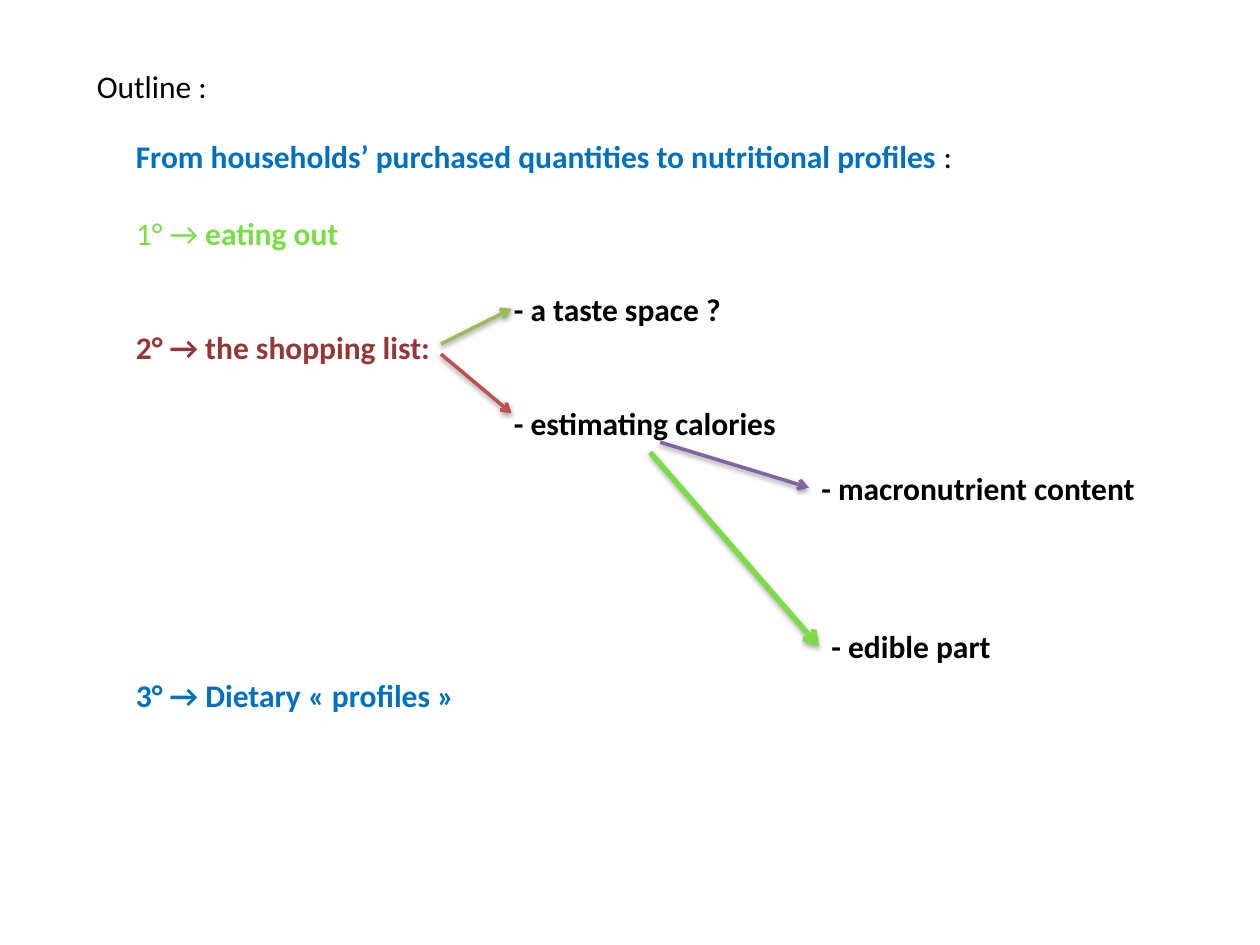
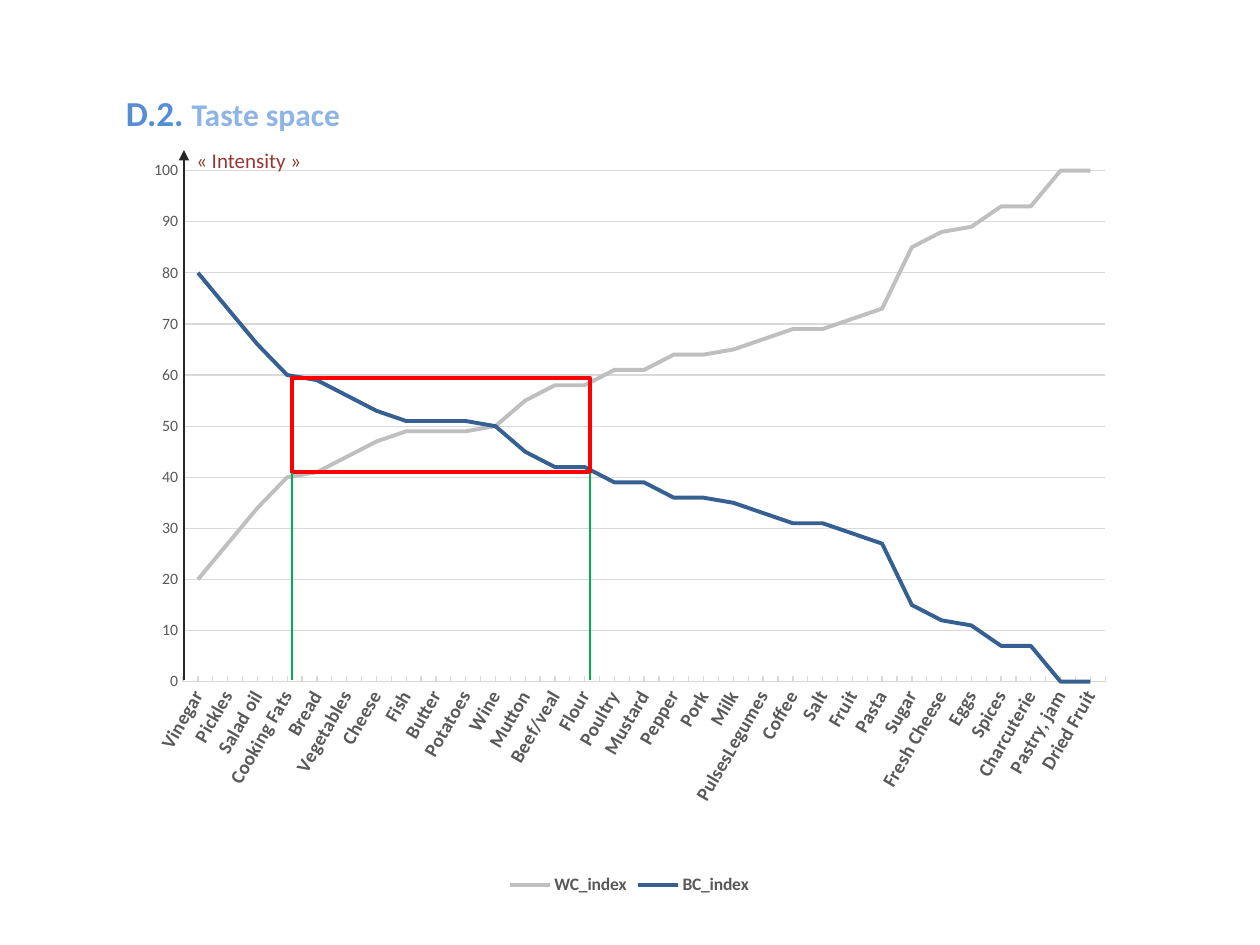
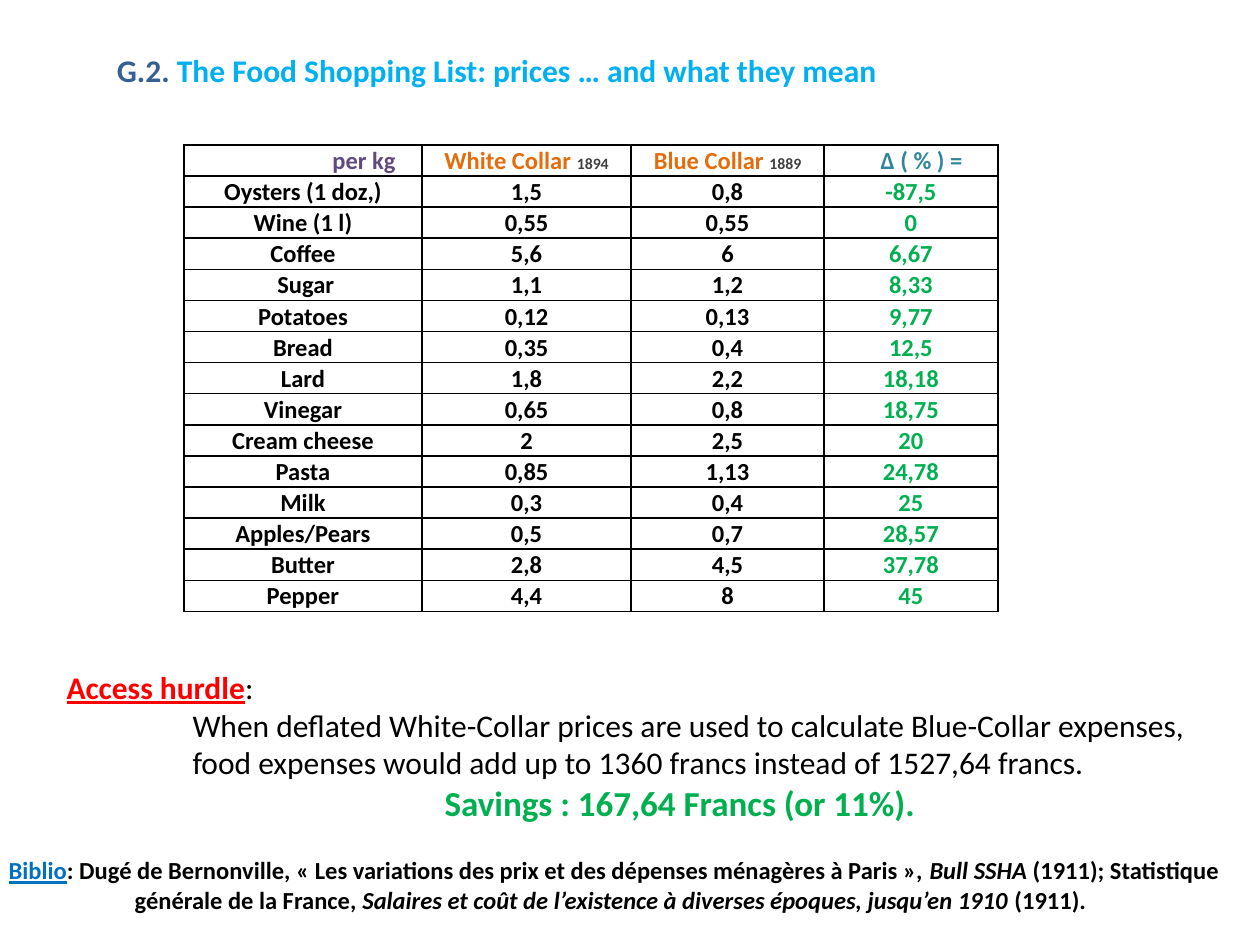
from pptx import Presentation
from pptx.chart.data import CategoryChartData
from pptx.dml.color import RGBColor
from pptx.enum.chart import XL_CHART_TYPE, XL_LEGEND_POSITION, XL_TICK_MARK
from pptx.enum.shapes import MSO_CONNECTOR, MSO_SHAPE
from pptx.enum.text import MSO_ANCHOR, PP_ALIGN
from pptx.oxml import parse_xml
from pptx.oxml.ns import nsdecls, qn
from pptx.util import Inches, Pt

# Shared look
FACE = "Calibri"
BLACK, BLUE, LIME, WINE = "000000", "0070C0", "7ADD43", "953735"
GREEN, RED, GREY, RULE, NAVY = "00B050", "FF0000", "595959", "D9D9D9", "376092"
LINE = 22  # height of one empty 18 pt line, in points
BOLD = {"bold": True}
PLAIN = {}
ITAL = {"bold": True, "italic": True}
LINK = {"bold": True, "underline": True}

# Slide 1: a paragraph is (indent, space before, runs);
# a run is (text, size, colour, format)
OUTLINE = [
    (0.67, 0.48, 1.15, 0.4, [(0, 0, [("Outline :", 18, BLACK, PLAIN)])]),
    (0.98, 1.04, 6.97, 2.83, [
        (0, 0, [("From households’ purchased quantities to nutritional profiles ",
                 18, BLUE, BOLD), (":", 18, BLACK, PLAIN)]),
        (0, LINE, [("1° → ", 18, LIME, PLAIN), ("eating out", 18, LIME, BOLD)]),
        (3, LINE, [("- a taste space ?", 18, BLACK, BOLD)]),
        (0, 0, [("2° → the shopping list:", 18, WINE, BOLD)]),
        (3, LINE, [("- estimating calories", 18, BLACK, BOLD)])]),
    (6.42, 3.67, 2.71, 0.4,
     [(0, 0, [("- macronutrient content", 18, BLACK, BOLD)])]),
    (6.5, 4.93, 1.48, 0.4, [(0, 0, [("- edible part", 18, BLACK, BOLD)])]),
    (0.98, 5.32, 2.89, 0.4,
     [(0, 0, [("3° → Dietary «\u00a0profiles\u00a0»", 18, BLUE, BOLD)])]),
]
ARROWS = [  # start, end, colour, width, shadow strength in percent
    ((3.5, 2.73), (4.06, 2.45), "9BBB59", 2, 38),
    ((3.5, 2.81), (4.06, 3.28), "C0504D", 2, 38),
    ((5.24, 3.51), (6.42, 3.87), "8064A2", 2, 38),
    ((5.16, 3.59), (6.5, 5.13), LIME, 3, 35),
]

# Slide 2
TASTE = [
    (0.9, 0.68, 1.97, 0.44, [(0, 0, [("D.2. ", 20, "558ED5", BOLD),
                                     ("Taste space", 18, "8EB4E3", BOLD)])]),
    (1.46, 1.12, 1.04, 0.3,
     [(0, 0, [("«\u00a0Intensity\u00a0»", 12, WINE, PLAIN)])]),
]
FOODS = [
    "Vinegar", "Pickles", "Salad oil", "Cooking Fats", "Bread", "Vegetables",
    "Cheese", "Fish", "Butter", "Potatoes", "Wine", "Mutton", "Beef/veal",
    "Flour", "Poultry", "Mustard", "Pepper", "Pork", "Milk", "PulsesLegumes",
    "Coffee", "Salt", "Fruit", "Pasta", "Sugar", "Fresh Cheese", "Eggs",
    "Spices", "Charcuterie", "Pastry, jam", "Dried Fruit"]
SERIES = [
    ("WC_index", "BFBFBF", [
        20, 27, 34, 40, 41, 44, 47, 49, 49, 49, 50, 55, 58, 58, 61, 61, 64, 64,
        65, 67, 69, 69, 71, 73, 85, 88, 89, 93, 93, 100, 100]),
    ("BC_index", NAVY, [
        80, 73, 66, 60, 59, 56, 53, 51, 51, 51, 50, 45, 42, 42, 39, 39, 36, 36,
        35, 33, 31, 31, 29, 27, 15, 12, 11, 7, 7, 0, 0]),
]
ZONE = (2.32, 3, 2.36, 0.75)
BASE = 5.4  # height of the zero line of the chart

# Slide 3
PRICES = [
    (0.83, 0.36, 6.37, 0.4, [(0, 0, [
        ("G.2. ", 18, NAVY, BOLD),
        ("The Food Shopping List: prices … and what they mean",
         18, "00B0F0", BOLD)])]),
    (-0.03, 6.74, 9.92, 0.57, [
        (0, 0, [("Biblio", 14, BLUE, LINK),
                (": Dugé de Bernonville, «\u00a0Les variations des prix et des "
                 "dépenses ménagères à Paris\u00a0», ", 14, BLACK, BOLD),
                ("Bull SSHA ", 14, BLACK, ITAL),
                ("(1911); Statistique", 14, BLACK, BOLD)]),
        (1, 0, [("générale de la France, ", 14, BLACK, BOLD),
                ("Salaires et coût de l’existence à diverses époques, "
                 "jusqu’en 1910 ", 14, BLACK, ITAL),
                ("(1911).", 14, BLACK, BOLD)])]),
    (0.43, 5.25, 9.36, 1.35, [
        (0, 0, [("Access hurdle", 18, RED, LINK), (":", 18, BLACK, PLAIN)]),
        (1, 0, [("When deflated White-Collar prices are used to calculate "
                 "Blue-Collar expenses,", 18, BLACK, PLAIN)]),
        (1, 0, [("food expenses would add up to 1360 francs instead of "
                 "1527,64 francs.", 18, BLACK, PLAIN)]),
        (3, 0, [("Savings : 167,64 Francs (or 11%).", 20, GREEN, BOLD)])]),
]
COLS = [1.89, 1.66, 1.53, 1.38]
HEAD = [  # left margin, runs
    (0.98, [("per kg", 14, "604A7B", BOLD)]),
    (0.01, [("White Collar ", 14, "E46C0A", BOLD), ("1894", 9, "404040", BOLD)]),
    (0.01, [("Blue Collar ", 14, "E46C0A", BOLD), ("1889", 9, "404040", BOLD)]),
    (0.18, [("Δ ( % ) =", 14, "31859C", BOLD)]),
]
ROWS = [
    ("Oysters (1 doz,)", "1,5", "0,8", "-87,5"),
    ("Wine (1 l)", "0,55", "0,55", "0"),
    ("Coffee", "5,6", "6", "6,67"),
    (" Sugar", "1,1", "1,2", "8,33"),
    ("Potatoes", "0,12", "0,13", "9,77"),
    ("Bread", "0,35", "0,4", "12,5"),
    ("Lard", "1,8", "2,2", "18,18"),
    ("Vinegar", "0,65", "0,8", "18,75"),
    ("Cream cheese", "2", "2,5", "20"),
    ("Pasta", "0,85", "1,13", "24,78"),
    ("Milk", "0,3", "0,4", "25"),
    ("Apples/Pears", "0,5", "0,7", "28,57"),
    ("Butter", "2,8", "4,5", "37,78"),
    ("Pepper", "4,4", "8", "45"),
]


def rgb(hue):
    return RGBColor.from_string(hue)


def style(font, size, hue, form):
    for key, val in {"name": FACE, "size": Pt(size), **form}.items():
        setattr(font, key, val)
    font.color.rgb = rgb(hue)


def stroke(line, hue, width):
    line.color.rgb = rgb(hue)
    line.width = Pt(width)


def fill_runs(para, runs):
    for text, size, hue, form in runs:
        run = para.add_run()
        run.text = text
        style(run.font, size, hue, form)


def add_texts(slide, boxes):
    for *spot, paras in boxes:
        frame = slide.shapes.add_textbox(*map(Inches, spot)).text_frame
        frame.word_wrap = True
        for num, (dent, gap, runs) in enumerate(paras):
            para = frame.add_paragraph() if num else frame.paragraphs[0]
            para.space_before = Pt(gap)
            if dent:
                para._p.get_or_add_pPr().set("marL", str(Inches(dent)))
            fill_runs(para, runs)


def add_line(slide, start, end, hue, width, tip=None, shade=0):
    line = slide.shapes.add_connector(
        MSO_CONNECTOR.STRAIGHT, *map(Inches, start + end))
    stroke(line.line, hue, width)
    props = line.element.spPr
    if tip:
        props.find(qn("a:ln")).append(
            parse_xml(f'<a:tailEnd {nsdecls("a")} type="{tip}"/>'))
    drop = (f'<a:outerShdw blurRad="40000" dist="20000" dir="5400000" '
            f'rotWithShape="0"><a:srgbClr val="{BLACK}"><a:alpha '
            f'val="{shade * 1000}"/></a:srgbClr></a:outerShdw>') if shade else ""
    props.append(parse_xml(
        f'<a:effectLst {nsdecls("a")}>{drop}</a:effectLst>'))


def add_chart(slide):
    data = CategoryChartData()
    data.categories = FOODS
    for name, _, vals in SERIES:
        data.add_series(name, vals)
    chart = slide.shapes.add_chart(
        XL_CHART_TYPE.LINE, *map(Inches, (1.06, 1.2, 7.87, 5.94)), data).chart
    style(chart.font, 10, BLACK, PLAIN)
    chart.has_title = False
    chart.has_legend = True
    chart.legend.position = XL_LEGEND_POSITION.BOTTOM
    chart.legend.include_in_layout = False
    style(chart.legend.font, 10, GREY, BOLD)
    chart.plots[0].vary_by_categories = False
    for part, (_, hue, _) in zip(chart.plots[0].series, SERIES):
        part.smooth = False
        stroke(part.format.line, hue, 2.25)

    # Axes
    cat, val = chart.category_axis, chart.value_axis
    cat.major_tick_mark = val.major_tick_mark = XL_TICK_MARK.NONE
    cat.minor_tick_mark = XL_TICK_MARK.INSIDE
    style(cat.tick_labels.font, 11, GREY, BOLD)
    style(val.tick_labels.font, 9, GREY, PLAIN)
    stroke(cat.format.line, RULE, 0.75)
    for key, num in {"minimum_scale": 0, "maximum_scale": 100,
                     "major_unit": 10, "has_major_gridlines": True}.items():
        setattr(val, key, num)
    val.format.line.fill.background()
    stroke(val.major_gridlines.format.line, RULE, 0.75)

    # Slanted labels and fixed plot area
    area = chart._chartSpace.chart.plotArea
    slant = area.find(qn("c:catAx")).find(qn("c:txPr")).find(qn("a:bodyPr"))
    slant.set("rot", "-3600000")
    for old in area.findall(qn("c:layout")):
        area.remove(old)
    marks = [("layoutTarget", "inner"), ("xMode", "edge"), ("yMode", "edge"),
             ("x", 0.05), ("y", 0.026), ("w", 0.93), ("h", 0.683)]
    tags = "".join(f'<c:{tag} val="{num}"/>' for tag, num in marks)
    area.insert(0, parse_xml(
        f'<c:layout {nsdecls("c")}><c:manualLayout>{tags}'
        f'</c:manualLayout></c:layout>'))


def set_cell(cell, left, runs):
    form = {"margin_left": Inches(left), "margin_right": Inches(0.01),
            "margin_top": Inches(0.01), "margin_bottom": 0,
            "vertical_anchor": MSO_ANCHOR.MIDDLE}
    for key, val in form.items():
        setattr(cell, key, val)
    para = cell.text_frame.paragraphs[0]
    para.alignment = PP_ALIGN.CENTER
    fill_runs(para, runs)
    props = cell._tc.get_or_add_tcPr()
    for side in ("lnL", "lnR", "lnT", "lnB"):
        props.append(parse_xml(
            f'<a:{side} {nsdecls("a")} w="12700"><a:solidFill><a:srgbClr '
            f'val="{BLACK}"/></a:solidFill></a:{side}>'))
    cell.fill.background()


def add_prices(slide):
    high = 0.24
    size = (len(ROWS) + 1, len(COLS))
    spot = (1.46, 1.15, sum(COLS), high * size[0])
    table = slide.shapes.add_table(*size, *map(Inches, spot)).table
    table.first_row = table.horz_banding = False
    for col, wide in zip(table.columns, COLS):
        col.width = Inches(wide)
    hues = [BLACK, BLACK, BLACK, GREEN]
    body = [[(0.01, [(text, 14, hue, BOLD)]) for text, hue in zip(row, hues)]
            for row in ROWS]
    for row, cells in zip(table.rows, [HEAD] + body):
        row.height = Inches(high)
        for cell, (left, runs) in zip(row.cells, cells):
            set_cell(cell, left, runs)


deck = Presentation()
deck.slide_width, deck.slide_height = Inches(10), Inches(7.5)
plan, space, shop = [deck.slides.add_slide(deck.slide_layouts[6])
                     for _ in range(3)]

# Outline
add_texts(plan, OUTLINE)
for start, end, hue, width, shade in ARROWS:
    add_line(plan, start, end, hue, width, "arrow", shade)

# Taste space: chart, marked zone and its drop lines, axis arrow
add_chart(space)
zone = space.shapes.add_shape(MSO_SHAPE.RECTANGLE, *map(Inches, ZONE))
zone.shadow.inherit = False
zone.fill.background()
stroke(zone.line, RED, 2.25)
left, top, wide, tall = ZONE
for x in (left, left + wide):
    add_line(space, (x, top + tall), (x, BASE), GREEN, 1)
add_line(space, (1.46, BASE), (1.46, 1.19), "262626", 1.25, "triangle")
add_texts(space, TASTE)

# Prices
add_prices(shop)
add_texts(shop, PRICES)

deck.save("out.pptx")
